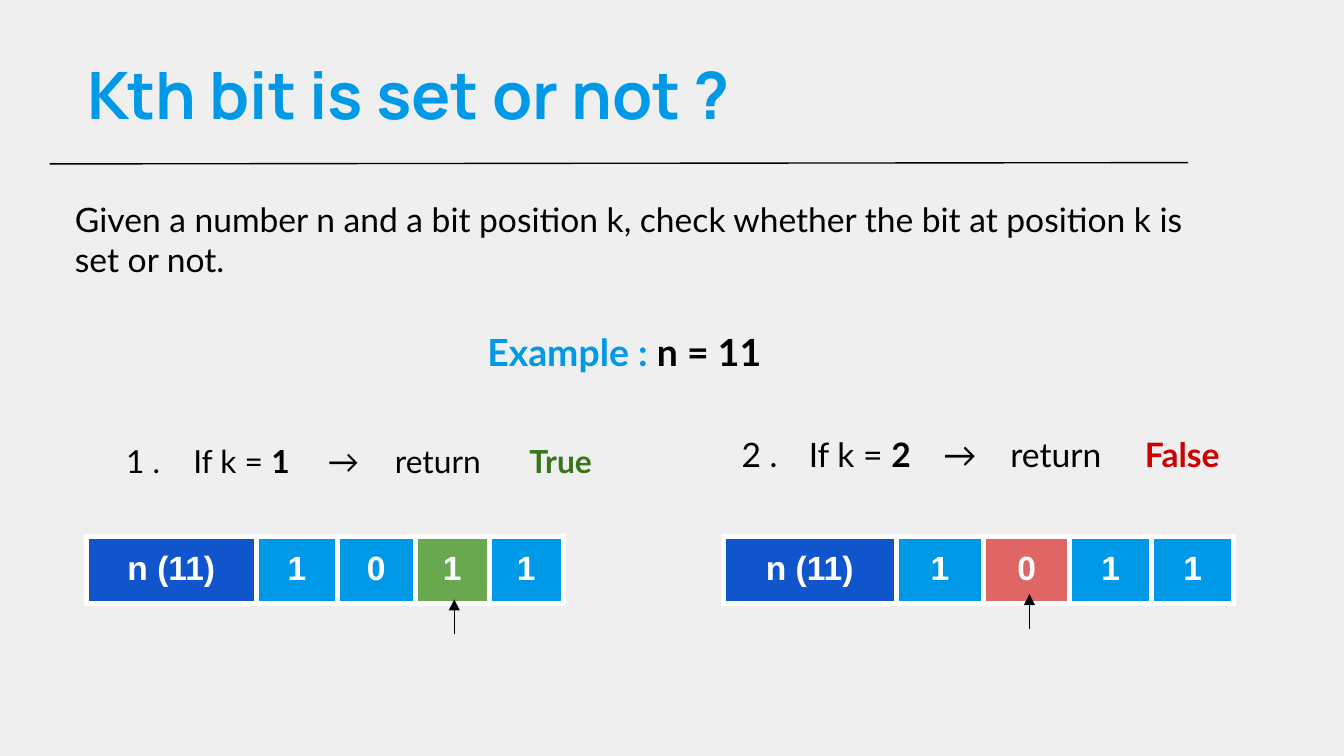
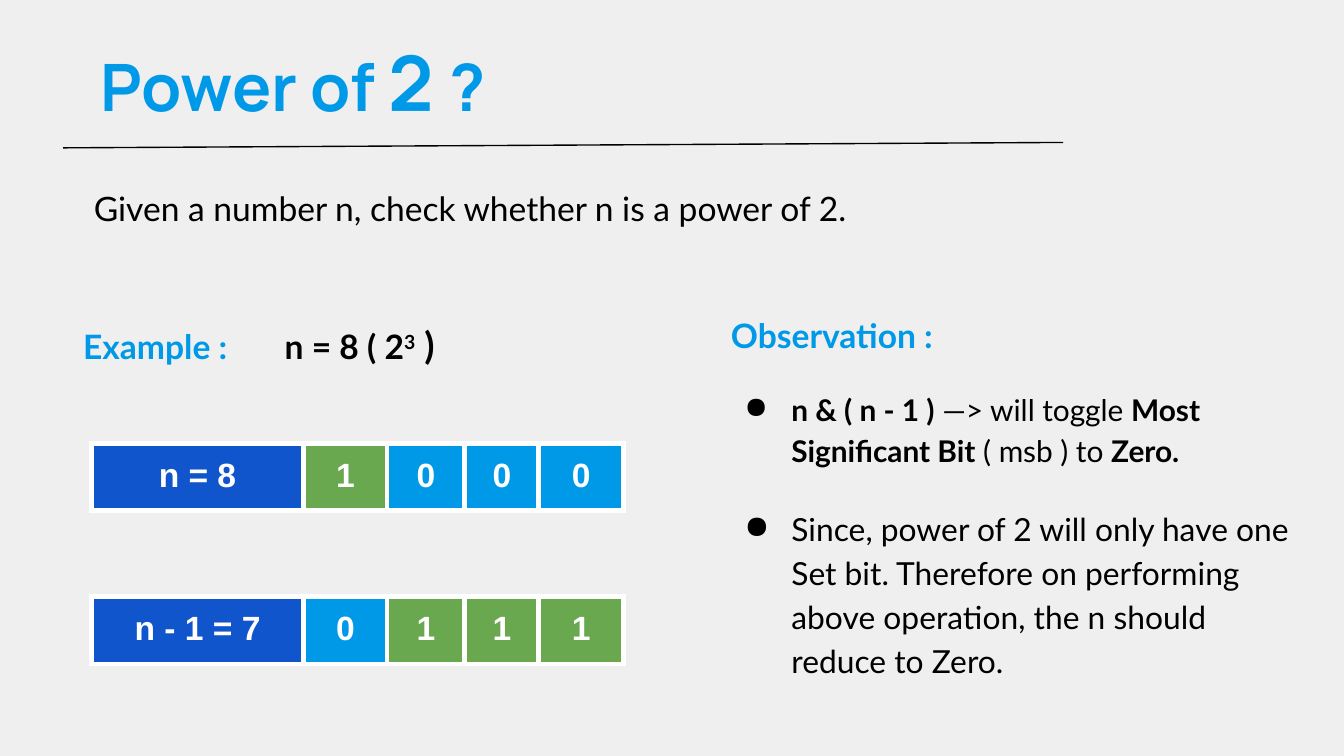
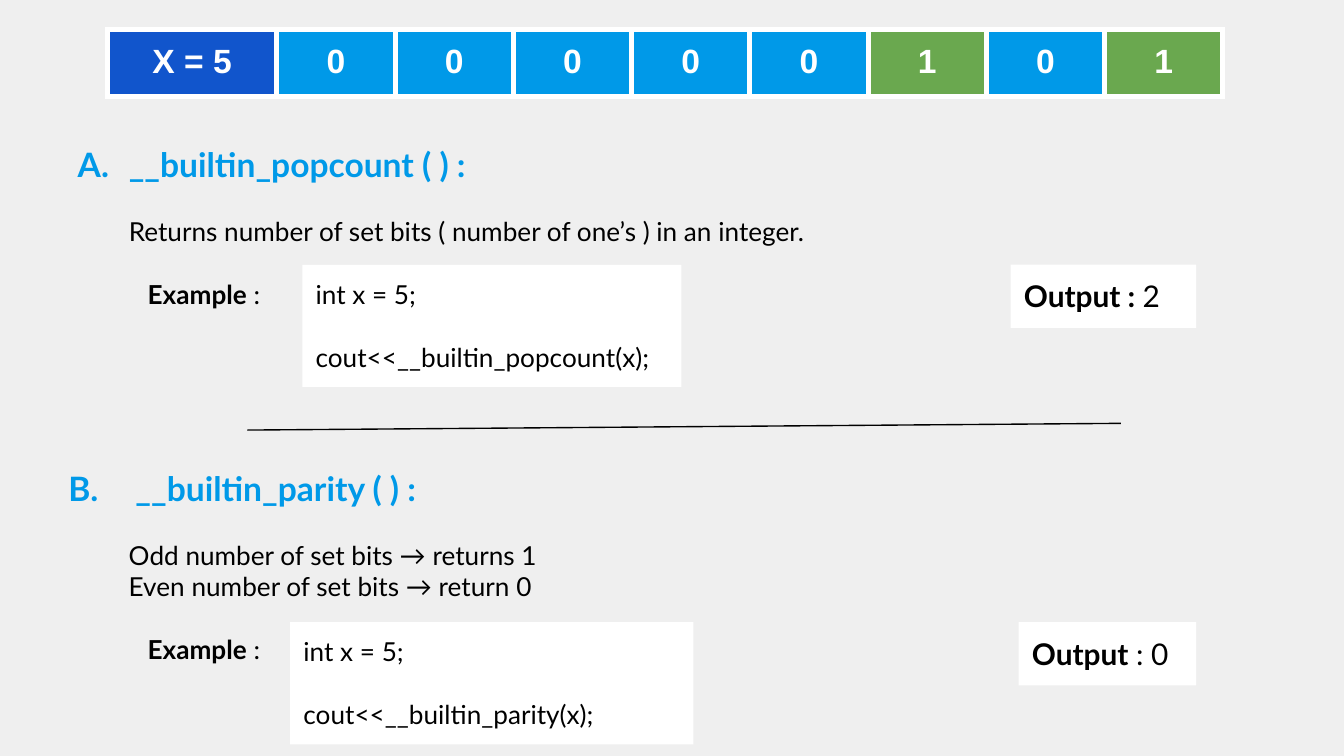
"""Build three slides about bit manipulation on a square grid of 100 columns."""

import dataclasses
import typing

import lxml.etree
import pptx
import pptx.dml.color
import pptx.enum.shapes
import pptx.enum.text
import pptx.oxml.ns
import pptx.util


@dataclasses.dataclass(frozen=True)
class Theme:
    paper: str = "EFEFEF"
    white: str = "FFFFFF"
    ink: str = "000000"
    accent: str = "0099E8"
    label: str = "1155CC"
    set_bit: str = "6AA84F"
    clear_bit: str = "E06666"
    true: str = "38761D"
    false: str = "CC0000"
    title_font: str = "Manrope"
    body_font: str = "Lato"
    cell_font: str = "Arial"
    title: float = 35
    title_digit: float = 41
    example: float = 20
    lead: float = 18
    detail: float = 17
    note: float = 16
    code: float = 14
    rule: float = 0.75
    border: float = 3
    code_gap: float = 16.8
    bullet_gap: float = 19.2


THEME = Theme()
SLIDE_WIDTH = pptx.util.Inches(10)
SLIDE_HEIGHT = SLIDE_WIDTH * 9 // 16
COLUMNS = 100
INSET = 1


class Frame(typing.NamedTuple):
    left: float
    top: float
    width: float
    height: float


class Span(typing.NamedTuple):
    text: str
    size: float = THEME.lead
    bold: bool = False
    color: str = THEME.ink
    font: str = THEME.body_font
    baseline: int = 0


class Para(typing.NamedTuple):
    spans: tuple[Span, ...]
    before: float = 0
    margin: float = 0
    hanging: float = 0
    spacing: float = 1
    bullet: tuple[str, str, str] | None = None
    bullet_color: str = THEME.ink
    tabs: tuple[float, ...] = ()
    centred: bool = False


class Rule(typing.NamedTuple):
    start: tuple[float, float]
    end: tuple[float, float]
    arrow: bool = False


class BitRow(typing.NamedTuple):
    left: float
    top: float
    widths: tuple[float, ...]
    height: float
    label: str
    bits: str
    marked: tuple[int, ...]
    mark: str = THEME.set_bit


DOT = ("a:buChar", "char", "●")
LETTER = ("a:buAutoNum", "type", "alphaUcPeriod")


def grid(count: float) -> pptx.util.Emu:
    return pptx.util.Emu(round(SLIDE_WIDTH * count / COLUMNS))


def rgb(color: str) -> pptx.dml.color.RGBColor:
    return pptx.dml.color.RGBColor.from_string(color)


def add_node(parent: typing.Any, tag: str, **attributes: str) -> typing.Any:
    return lxml.etree.SubElement(parent, pptx.oxml.ns.qn(tag), attributes)


def add_color(parent: typing.Any, color: str) -> None:
    add_node(parent, "a:srgbClr", val=color)


def write_para(paragraph: typing.Any, para: Para) -> None:
    paragraph.text = para.spans[0].text
    for span in para.spans[1:]:
        paragraph.add_run().text = span.text
    for run, span in zip(paragraph.runs, para.spans):
        run.font.name = span.font
        run.font.size = pptx.util.Pt(span.size)
        run.font.bold = span.bold
        run.font.color.rgb = rgb(span.color)
        if span.baseline:
            run._r.get_or_add_rPr().set("baseline", str(span.baseline * 1000))
    alignment = pptx.enum.text.PP_ALIGN
    paragraph.alignment = alignment.CENTER if para.centred else alignment.LEFT
    paragraph.line_spacing = para.spacing
    paragraph.space_before = pptx.util.Pt(para.before)
    properties = paragraph._p.get_or_add_pPr()
    properties.set("marL", str(grid(para.margin)))
    properties.set("indent", str(grid(-para.hanging)))
    if para.bullet:
        tag, attribute, value = para.bullet
        add_color(add_node(properties, "a:buClr"), para.bullet_color)
        add_node(properties, tag, **{attribute: value})
    if para.tabs:
        stops = add_node(properties, "a:tabLst")
        for position in para.tabs:
            add_node(stops, "a:tab", pos=str(grid(position)), algn="l")


def fill_text(shape: typing.Any, paras: typing.Sequence[Para]) -> None:
    body = shape.text_frame
    body.word_wrap = True
    body.vertical_anchor = pptx.enum.text.MSO_ANCHOR.TOP
    body.margin_left = body.margin_right = grid(INSET)
    body.margin_top = body.margin_bottom = grid(INSET)
    for index, para in enumerate(paras):
        write_para(body.add_paragraph() if index else body.paragraphs[0], para)


def add_text(page: typing.Any, frame: Frame, *paras: Para) -> None:
    fill_text(page.shapes.add_textbox(*map(grid, frame)), paras)


def add_panel(page: typing.Any, frame: Frame, *paras: Para) -> None:
    rectangle = pptx.enum.shapes.MSO_SHAPE.RECTANGLE
    panel = page.shapes.add_shape(rectangle, *map(grid, frame))
    panel.shadow.inherit = False
    panel.fill.solid()
    panel.fill.fore_color.rgb = rgb(THEME.white)
    panel.line.fill.background()
    fill_text(panel, paras)


def add_rule(page: typing.Any, rule: Rule) -> None:
    straight = pptx.enum.shapes.MSO_CONNECTOR.STRAIGHT
    line = page.shapes.add_connector(straight, *map(grid, rule.start + rule.end))
    line.line.color.rgb = rgb(THEME.ink)
    line.line.width = pptx.util.Pt(THEME.rule)
    if rule.arrow:
        add_node(line.line._get_or_add_ln(), "a:tailEnd", type="triangle")
    add_node(line._element.spPr, "a:effectLst")


def style_cell(cell: typing.Any, text: str, color: str) -> None:
    cell.margin_left = cell.margin_right = grid(INSET)
    cell.margin_top = cell.margin_bottom = grid(INSET)
    cell.fill.solid()
    cell.fill.fore_color.rgb = rgb(color)
    span = Span(text, bold=True, color=THEME.white, font=THEME.cell_font)
    write_para(cell.text_frame.paragraphs[0], Para((span,), centred=True))
    properties = cell._tc.get_or_add_tcPr()
    for index, side in enumerate("LRTB"):
        border = add_node(properties, f"a:ln{side}", w=str(pptx.util.Pt(THEME.border)))
        add_color(add_node(border, "a:solidFill"), THEME.white)
        properties.insert(index, border)


def add_bits(page: typing.Any, row: BitRow) -> None:
    frame = Frame(row.left, row.top, sum(row.widths), row.height)
    table = page.shapes.add_table(1, len(row.widths), *map(grid, frame)).table
    table.first_row = table.horz_banding = False
    for column, width in zip(table.columns, row.widths):
        column.width = grid(width)
    style_cell(table.cell(0, 0), row.label, THEME.label)
    for index, bit in enumerate(row.bits):
        color = row.mark if index in row.marked else THEME.accent
        style_cell(table.cell(0, index + 1), bit, color)


def add_page(deck: typing.Any) -> typing.Any:
    page = deck.slides.add_slide(deck.slide_layouts[6])
    page.background.fill.solid()
    page.background.fill.fore_color.rgb = rgb(THEME.paper)
    return page


def heading(text: str, size: float = THEME.lead) -> Span:
    return Span(text, size, True, THEME.accent)


def title_span(text: str, size: float = THEME.title) -> Span:
    return Span(text, size, True, THEME.accent, THEME.title_font)


def add_case(page: typing.Any, frame: Frame, size: float, tabs: tuple[float, ...],
             number: int, answer: Span) -> None:
    spans = (
        Span(f"{number} .\tIf k = ", size),
        Span(str(number), size, True),
        Span("\t→\treturn\t", size),
        answer,
    )
    add_text(page, frame, Para(spans, tabs=tabs))


def build_kth_bit(deck: typing.Any) -> None:
    page = add_page(deck)
    add_text(page, Frame(5.5, 3, 90.6, 7), Para((title_span("Kth bit is set or not ?"),)))
    add_rule(page, Rule((3.7, 12.2), (88.4, 12.1)))
    question = "Given a number n and a bit position k, check whether the bit at position k is set or not."
    add_text(page, Frame(4.6, 13.8, 84.7, 8.1), Para((Span(question),)))
    example = (heading("Example : ", THEME.example), Span("n = 11", THEME.example, True))
    add_text(page, Frame(4.5, 23.5, 83.9, 5.4), Para(example, centred=True))
    add_case(page, Frame(8.4, 31.9, 39, 7.2), THEME.detail, (3.7, 13.3, 16.9, 24.5),
             1, Span("True", THEME.detail, True, THEME.true))
    add_case(page, Frame(54.2, 31.3, 39.7, 5), THEME.lead, (4, 13.6, 17.3, 25.4),
             2, Span("False", THEME.lead, True, THEME.false))
    add_bits(page, BitRow(6.4, 39.9, (12.7, 6, 5.8, 5.5, 5.5), 4.7, "n (11)", "1011", (2,)))
    add_bits(page, BitRow(53.8, 39.9, (12.9, 6.5, 6.4, 6.1, 6.1), 4.3,
                          "n (11)", "1011", (1,), THEME.clear_bit))
    for column, tip in ((33.8, 44.6), (76.6, 44.2)):
        add_rule(page, Rule((column, tip + 2.6), (column, tip), arrow=True))


def build_power_of_two(deck: typing.Any) -> None:
    page = add_page(deck)
    title = (title_span("Power of "), title_span("2 ", THEME.title_digit), title_span("?"))
    add_text(page, Frame(6.5, 1.6, 89.7, 7), Para(title))
    add_rule(page, Rule((4.7, 11), (79.1, 10.6)))
    question = Span("Given a number n, check whether n is a power of 2.")
    add_text(page, Frame(6, 13, 89.7, 5), Para((question,)))
    example = (
        heading("Example :\t"),
        Span("n = 8 ( 2", bold=True),
        Span("3", bold=True, baseline=30),
        Span(" )", THEME.example, True),
    )
    add_text(page, Frame(5.2, 23, 43.5, 26.4), Para(example, tabs=(12.6,)))
    widths = (15.8, 6.2, 5.8, 5.5, 6.3)
    for top, label, bits in ((33, "n = 8", "1000"), (44.4, "n - 1 = 7", "0111")):
        ones = tuple(index for index, bit in enumerate(bits) if bit == "1")
        add_bits(page, BitRow(6.8, top, widths, 4.2, label, bits, ones))
    toggle = (
        Span("n & ( n - 1 )", THEME.note, True),
        Span(" —> will toggle ", THEME.note),
        Span("Most Significant Bit", THEME.note, True),
        Span(" ( msb ) to ", THEME.note),
        Span("Zero.", THEME.note, True),
    )
    reason = Span("Since, power of 2 will only have one Set bit. Therefore on performing "
                  "above operation, the n should reduce to Zero.", THEME.detail)
    points = [
        Para(spans, gap, margin=5, hanging=3.5, spacing=1.15, bullet=DOT)
        for spans, gap in ((toggle, THEME.code_gap), ((reason,), THEME.bullet_gap))
    ]
    add_text(page, Frame(52.9, 22.4, 44.6, 31.8),
             Para((heading("Observation :"),), margin=0.5), *points)


def add_builtin(page: typing.Any, frame: Frame, head: Para, facts: tuple[str, ...],
                code: Frame, call: str, output: Frame, result: tuple[Span, ...]) -> None:
    body_margin = 8.6 - frame.left
    notes = [
        Para((Span(fact, THEME.code),), 0 if index else THEME.code_gap, body_margin)
        for index, fact in enumerate(facts)
    ]
    example = (Span("Example", THEME.code, True), Span(" :", THEME.code))
    add_text(page, frame, head, *notes, Para(example, THEME.code_gap, body_margin + 1.4))
    add_panel(page, code, Para((Span("int x = 5;", THEME.code),)),
              Para((Span(f"cout<<{call}(x);", THEME.code),), THEME.code_gap))
    add_panel(page, output, Para(result))


def build_builtins(deck: typing.Any) -> None:
    page = add_page(deck)
    add_builtin(
        page, Frame(3.6, 9.7, 91.9, 16.8),
        Para((heading("__builtin_popcount ( ) :"),), margin=5, hanging=3.8,
             bullet=LETTER, bullet_color=THEME.accent),
        ("Returns number of set bits ( number of one’s ) in an integer.",),
        Frame(22.5, 19.7, 28.2, 9.1), "__builtin_popcount", Frame(75.2, 19.7, 13.8, 4.7),
        (Span("Output : ", THEME.note, True), Span("2", THEME.note)),
    )
    add_builtin(
        page, Frame(4.1, 33.8, 91.4, 19.2),
        Para((heading("B.\t__builtin_parity ( ) :"),), tabs=(6.4,)),
        ("Odd number of set bits → returns 1", "Even number of set bits → return 0"),
        Frame(21.6, 46.3, 30, 9.1), "__builtin_parity", Frame(75.8, 46.3, 13.2, 4.7),
        (Span("Output", THEME.note, True), Span(" : 0", THEME.note)),
    )
    add_rule(page, Rule((18.4, 32), (83.4, 31.5)))
    bits = f"{5:08b}"
    ones = tuple(index for index, bit in enumerate(bits) if bit == "1")
    add_bits(page, BitRow(8, 2.2, (12.6,) + (8.8,) * len(bits), 4.2, "X = 5", bits, ones))


def main() -> None:
    deck = pptx.Presentation()
    deck.slide_width = SLIDE_WIDTH
    deck.slide_height = SLIDE_HEIGHT
    for build in (build_kth_bit, build_power_of_two, build_builtins):
        build(deck)
    deck.save("out.pptx")


if __name__ == "__main__":
    main()
